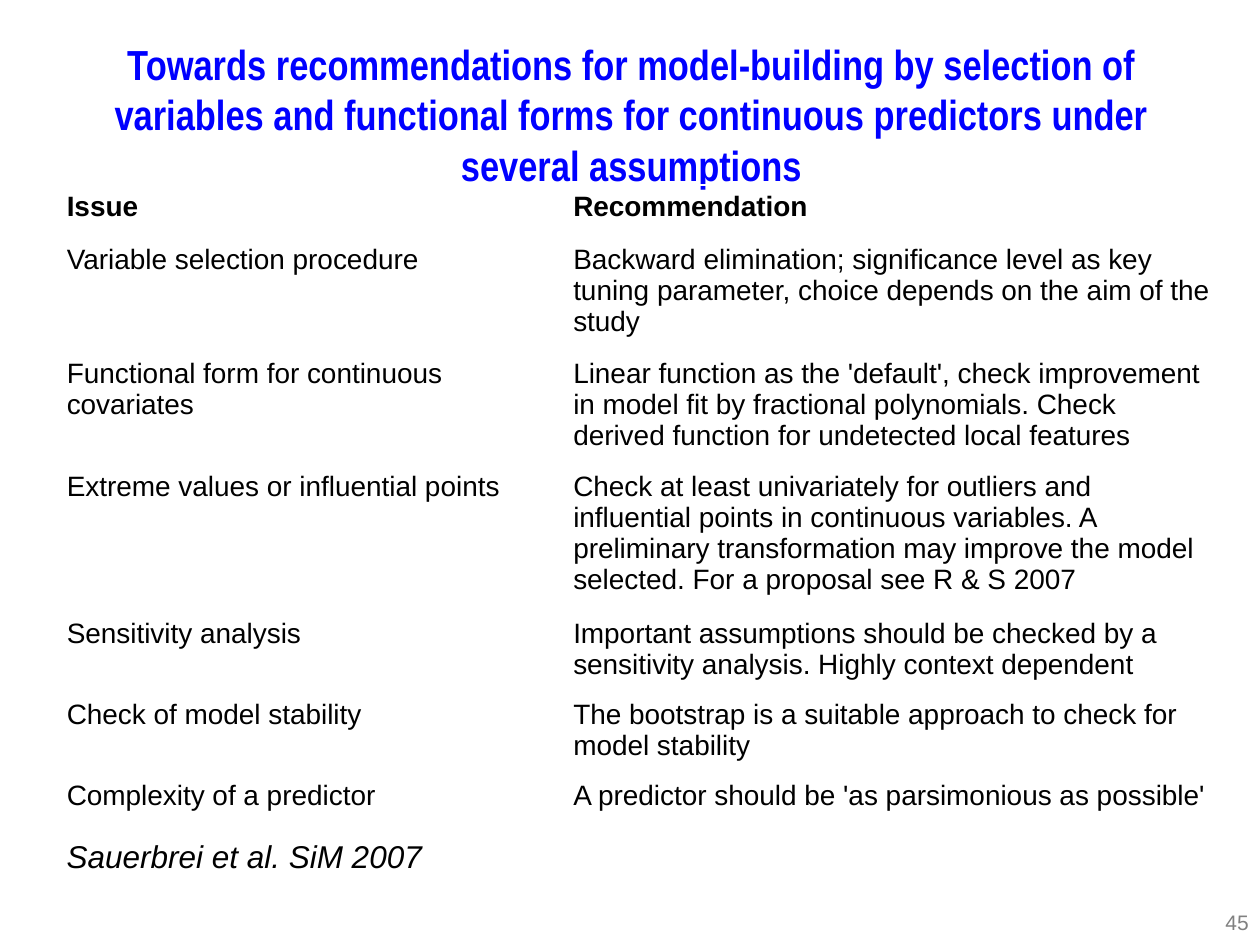
from pptx import Presentation
from pptx.dml.color import RGBColor
from pptx.enum.text import MSO_ANCHOR, MSO_AUTO_SIZE, PP_ALIGN
from pptx.util import Inches, Pt


def style(para, size, color="000000", face="Arial", bold=False, italic=False):
    for run in para.runs:
        font = run.font
        font.name, font.size = face, Pt(size)
        font.bold, font.italic = bold, italic
        font.color.rgb = RGBColor.from_string(color)


def add_text(text, left, top, width, height):
    box = slide.shapes.add_textbox(
        Inches(left), Inches(top), Inches(width), Inches(height))
    box.text_frame.text = text
    return box.text_frame


deck = Presentation()
deck.slide_width, deck.slide_height = Inches(10), Inches(7.5)
slide = deck.slides.add_slide(deck.slide_layouts[5])

# Title
title = slide.shapes.title
title.left, title.top = Inches(0.51), Inches(0.28)
title.width, title.height = Inches(9), Inches(1.25)
frame = title.text_frame
frame.text = ("Towards recommendations for model-building by selection of "
              "variables and functional forms for continuous predictors "
              "under several assumptions")
frame.auto_size = MSO_AUTO_SIZE.NONE
frame.vertical_anchor = MSO_ANCHOR.MIDDLE
frame.paragraphs[0].alignment = PP_ALIGN.CENTER
style(frame.paragraphs[0], 24, "0000FF", "Arial Narrow", bold=True)

# Table of issues: row height, issue, recommendation
rows = [
    (0.42, "Issue", "Recommendation"),
    (0.9, "Variable selection procedure",
     "Backward elimination; significance level as key tuning parameter, "
     "choice depends on the aim of the study"),
    (0.9, "Functional form for continuous covariates",
     "Linear function as the 'default', check improvement in model fit by "
     "fractional polynomials. Check derived function for undetected local "
     "features"),
    (1.17, "Extreme values or influential points",
     "Check at least univariately for outliers and influential points in "
     "continuous variables. A preliminary transformation may improve the "
     "model selected. For a proposal see R & S 2007"),
    (0.64, "Sensitivity analysis",
     "Important assumptions should be checked by a sensitivity analysis. "
     "Highly context dependent"),
    (0.64, "Check of model stability",
     "The bootstrap is a suitable approach to check for model stability"),
    (0.55, "Complexity of a predictor",
     "A predictor should be 'as parsimonious as possible'"),
]
table = slide.shapes.add_table(
    len(rows), 2, Inches(0.43), Inches(1.47), Inches(9.3), Inches(5.22)).table
table.first_row = table.horz_banding = False
table.columns[0].width, table.columns[1].width = Inches(4.02), Inches(5.28)
for r, (height, *texts) in enumerate(rows):
    table.rows[r].height = Inches(height)
    for c, text in enumerate(texts):
        cell = table.cell(r, c)
        cell.fill.background()
        cell.text_frame.text = text
        para = cell.text_frame.paragraphs[0]
        para.space_before = Pt(4)
        style(para, 16, bold=r == 0)

# Source and page number
source = add_text("Sauerbrei et al. SiM 2007", 0.43, 6.59, 3.02, 0.4)
source.word_wrap = False
style(source.paragraphs[0], 18, italic=True)

page = add_text("45", 7.68, 7.17, 2.33, 0.52)
page.word_wrap = True
page.paragraphs[0].alignment = PP_ALIGN.RIGHT
style(page.paragraphs[0], 12, "808080")

deck.save("out.pptx")
